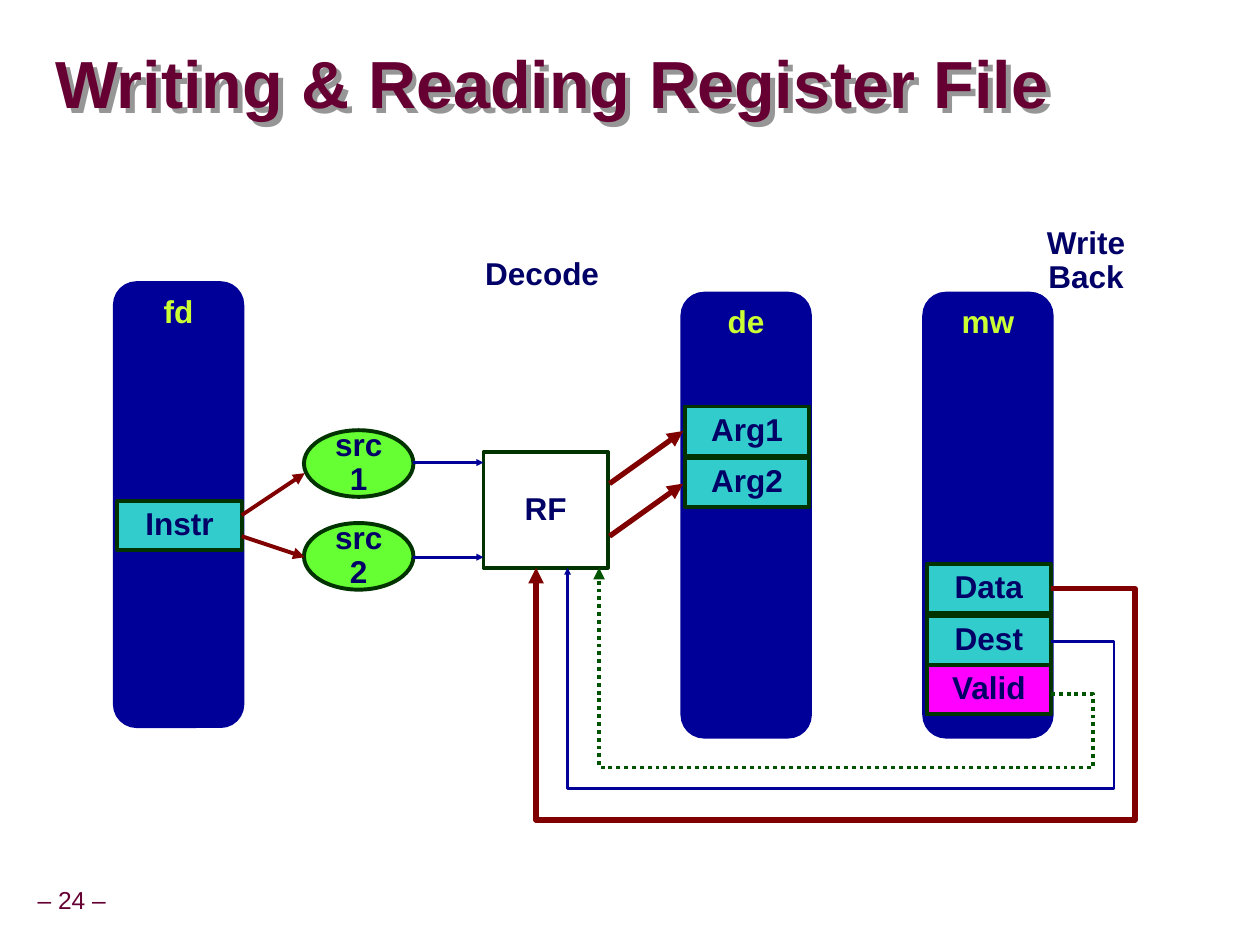
from dataclasses import dataclass

from lxml.etree import SubElement
from pptx import Presentation
from pptx.dml.color import RGBColor
from pptx.enum.dml import MSO_LINE_DASH_STYLE as Dash
from pptx.enum.shapes import MSO_CONNECTOR_TYPE as Connector
from pptx.enum.shapes import MSO_SHAPE as Shape
from pptx.enum.text import MSO_ANCHOR as Anchor
from pptx.enum.text import PP_ALIGN as Align
from pptx.oxml.ns import qn
from pptx.util import Pt


@dataclass(frozen=True)
class Theme:
    font: str = "Arial"
    title_size: int = 38
    label_size: int = 18
    footer_size: int = 14
    maroon: str = "660033"
    shadow: str = "969696"
    ink: str = "000066"
    navy: str = "000099"
    lime: str = "CCFF33"
    teal: str = "33CCCC"
    magenta: str = "FF00FF"
    green: str = "66FF33"
    white: str = "FFFFFF"
    edge: str = "003300"
    red: str = "800000"
    dotted: str = "005400"


theme = Theme()
deck = Presentation()
deck.slide_width, deck.slide_height = Pt(719.3), Pt(539.3)
page = deck.slides.add_slide(deck.slide_layouts[6])
shapes = page.shapes


def write(box, text, color=theme.ink, size=theme.label_size, bold=True,
          align=Align.CENTER, anchor=Anchor.MIDDLE, inset=3.6, wrap=False, spacing=0.9):
    """Fill a shape with text, one paragraph per line."""
    frame = box.text_frame
    frame.word_wrap, frame.vertical_anchor = wrap, anchor
    frame.margin_left = frame.margin_right = Pt(inset)
    frame.margin_top = frame.margin_bottom = Pt(min(inset, 3.6))
    frame.text = text
    for para in frame.paragraphs:
        para.alignment, para.line_spacing = align, spacing
        para.font.name, para.font.size, para.font.bold = theme.font, Pt(size), bold
        para.font.color.rgb = RGBColor.from_string(color)


def add_block(kind, left, top, width, height, fill, edge=theme.edge, weight=2.25):
    block = shapes.add_shape(kind, Pt(left), Pt(top), Pt(width), Pt(height))
    block.shadow.inherit = False
    block.fill.solid()
    block.fill.fore_color.rgb = RGBColor.from_string(fill)
    block.line.color.rgb = RGBColor.from_string(edge)
    block.line.width = Pt(weight)
    return block


# Title and page number; the unfilled title box casts the shadow of its text
title = shapes.add_textbox(Pt(31.5), Pt(19.5), Pt(685), Pt(61))
write(title, "Writing & Reading Register File", theme.maroon, theme.title_size,
      align=Align.LEFT, inset=0, wrap=True, spacing=0.87)
effects = SubElement(title._element.spPr, qn("a:effectLst"))
cast = SubElement(effects, qn("a:outerShdw"), blurRad="0", dist=str(Pt(4)),
                  dir="2700000", algn="tl", rotWithShape="0")
SubElement(cast, qn("a:srgbClr"), val=theme.shadow)

footer = shapes.add_textbox(Pt(1), Pt(503), Pt(80), Pt(22.5))
write(footer, "– 24 –", theme.maroon, theme.footer_size, bold=False)

# Pipeline registers
for name, left, top in (("fd", 66, 162), ("de", 390, 168), ("mw", 528, 168)):
    register = add_block(Shape.ROUNDED_RECTANGLE, left, top, 72, 252,
                         theme.navy, theme.navy, 3)
    write(register, name, theme.lime, anchor=Anchor.TOP)

# Register fields
for name, left, top, fill in (
    ("Instr", 67, 286, theme.teal),
    ("Arg1", 391, 232, theme.teal),
    ("Arg2", 391, 261.5, theme.teal),
    ("Data", 529, 322, theme.teal),
    ("Dest", 529, 351.5, theme.teal),
    ("Valid", 529, 379.5, theme.magenta),
):
    write(add_block(Shape.RECTANGLE, left, top, 71, 28, fill), name)

# Register file and source operands
write(add_block(Shape.RECTANGLE, 276, 258, 71, 66, theme.white), "RF")
for name, top in (("src1", 245.5), ("src2", 298.5)):
    write(add_block(Shape.OVAL, 173.5, top, 62.5, 38, theme.green), name,
          inset=5, wrap=True)

# Stage labels
for name, left, top, width, height in (
    ("Decode", 264.5, 144, 90, 26.5),
    ("Write\nBack", 590, 126, 60, 46),
):
    label = shapes.add_textbox(Pt(left), Pt(top), Pt(width), Pt(height))
    write(label, name, anchor=Anchor.TOP)

# Straight arrows: start, end, colour, weight
arrows = []
for start, end, color, weight in (
    ((236, 264), (276, 264), theme.navy, 1.5),
    ((236, 318), (276, 318), theme.navy, 1.5),
    ((138, 294), (174, 270), theme.red, 2.25),
    ((138, 306), (174, 318), theme.red, 2.25),
    ((348, 276), (390, 246), theme.red, 3),
    ((348, 306), (390, 276), theme.red, 3),
):
    arrow = shapes.add_connector(Connector.STRAIGHT, *map(Pt, start + end))
    SubElement(arrow._element.spPr, qn("a:effectLst"))
    arrows.append((arrow, color, weight))

# Write-back routes: from a field, around the right and bottom, up into RF
for start, right, bottom, end, color, weight in (
    (396, 624, 438, 342, theme.dotted, 2.25),
    (366, 636, 450, 324, theme.navy, 1.5),
    (336, 648, 468, 306, theme.red, 3),
):
    outline = shapes.build_freeform(Pt(600), Pt(start))
    corners = ((right, start), (right, bottom), (end, bottom), (end, 324))
    outline.add_line_segments([(Pt(x), Pt(y)) for x, y in corners], close=False)
    route = outline.convert_to_shape()
    route.shadow.inherit = False
    route.fill.background()
    if color == theme.dotted:
        route.line.dash_style = Dash.ROUND_DOT
    arrows.append((route, color, weight))

for arrow, color, weight in arrows:
    arrow.line.color.rgb = RGBColor.from_string(color)
    arrow.line.width = Pt(weight)
    head = "sm" if weight < 2 else "med"
    SubElement(arrow.line._get_or_add_ln(), qn("a:tailEnd"),
               type="triangle", w=head, len=head)

deck.save("out.pptx")
